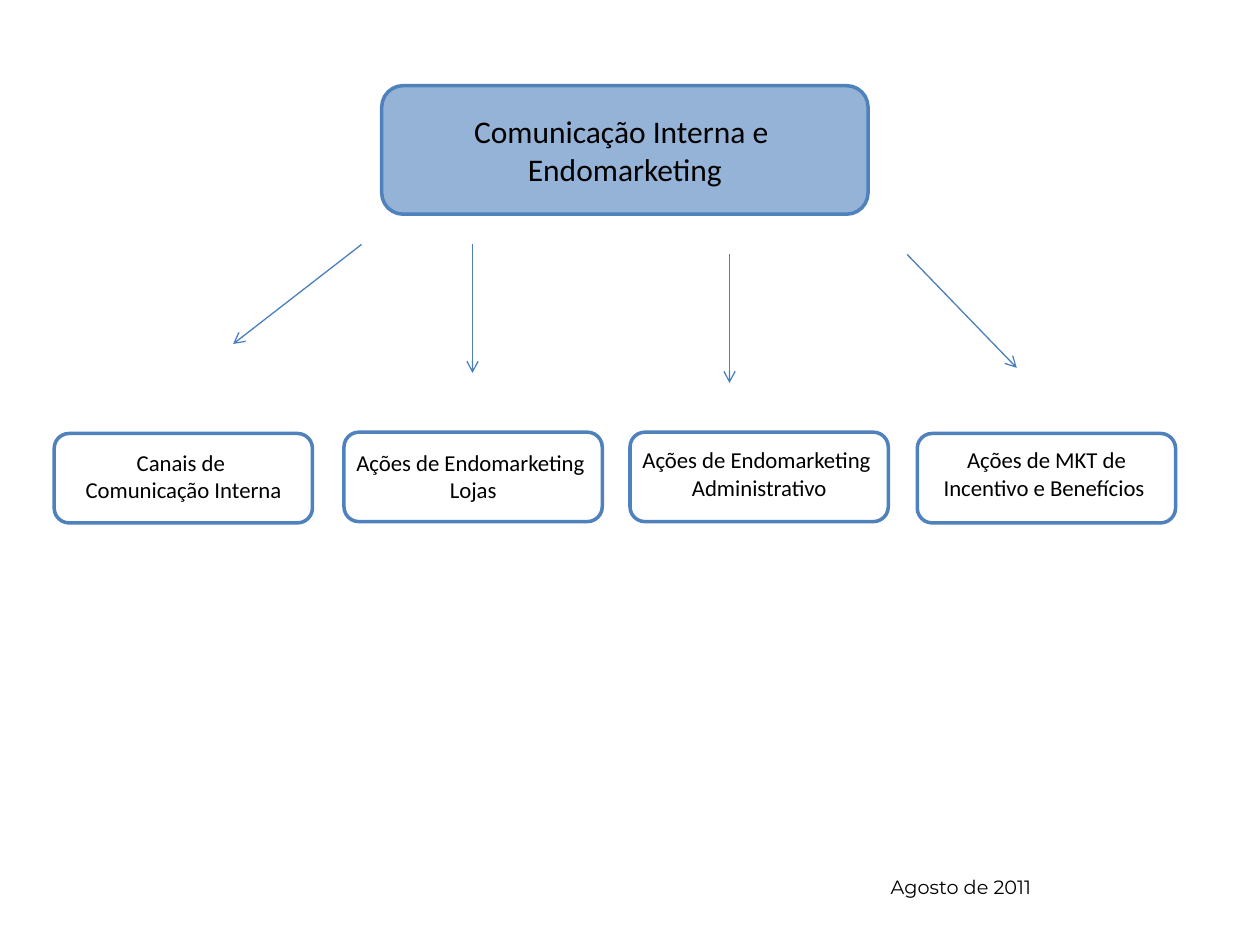
from dataclasses import dataclass

import pptx
import pptx.dml.color
import pptx.enum.shapes
import pptx.enum.text
import pptx.oxml
import pptx.oxml.ns
import pptx.util

Inches = pptx.util.Inches
Pt = pptx.util.Pt
RGBColor = pptx.dml.color.RGBColor
LEFT = pptx.enum.text.PP_ALIGN.LEFT
CENTER = pptx.enum.text.PP_ALIGN.CENTER

BLACK = RGBColor(0x00, 0x00, 0x00)
BORDER = RGBColor(0x4F, 0x81, 0xBD)
ARROW = RGBColor(0x4B, 0x7E, 0xBC)
HEADER = RGBColor(0x95, 0xB3, 0xD7)

BRANCH_WIDTH = 2.05
BRANCH_HEIGHT = 0.71
LABEL_HEIGHT = 0.54


@dataclass
class Branch:
    left: float
    top: float
    label_top: float
    lines: list[str]
    first_align: object = CENTER


@dataclass
class Arrow:
    x1: float
    y1: float
    x2: float
    y2: float


BRANCHES = [
    Branch(0.43, 3.44, 3.51, ["Canais de ", "Comunicação Interna"]),
    Branch(2.73, 3.43, 3.51, ["Ações de Endomarketing", "Lojas"], LEFT),
    Branch(5.0, 3.43, 3.49, ["Ações de Endomarketing", "Administrativo"], LEFT),
    Branch(7.28, 3.44, 3.49, ["Ações de MKT de Incentivo e Benefícios "]),
]

ARROWS = [
    Arrow(2.87, 1.94, 1.85, 2.73),
    Arrow(3.75, 1.94, 3.75, 2.96),
    Arrow(5.79, 2.02, 5.79, 3.04),
    Arrow(7.2, 2.02, 8.07, 2.92),
]


def write(tf, lines: list[str], *, size: float, font="Calibri",
          align=CENTER, first_align=None, wrap=True) -> None:
    tf.word_wrap = wrap
    for i, text in enumerate(lines):
        p = tf.add_paragraph() if i else tf.paragraphs[0]
        p.alignment = first_align if first_align and i == 0 else align
        r = p.add_run()
        r.text = text
        r.font.size = Pt(size)
        r.font.name = font
        r.font.color.rgb = BLACK


def add_box(s, left: float, top: float, width: float, height: float, fill=None):
    sp = s.shapes.add_shape(
        pptx.enum.shapes.MSO_SHAPE.FLOWCHART_ALTERNATE_PROCESS,
        Inches(left), Inches(top), Inches(width), Inches(height))
    sp.shadow.inherit = False
    if fill is None:
        sp.fill.background()
    else:
        sp.fill.solid()
        sp.fill.fore_color.rgb = fill
    sp.line.color.rgb = BORDER
    sp.line.width = Pt(2)
    return sp


def add_label(s, left: float, top: float, width: float, height: float,
              lines: list[str], **fmt) -> None:
    sp = s.shapes.add_textbox(Inches(left), Inches(top), Inches(width), Inches(height))
    write(sp.text_frame, lines, **fmt)


def add_branch(s, b: Branch) -> None:
    add_box(s, b.left, b.top, BRANCH_WIDTH, BRANCH_HEIGHT)
    add_label(s, b.left, b.label_top, BRANCH_WIDTH, LABEL_HEIGHT, b.lines,
              size=13, first_align=b.first_align)


def add_arrow(s, a: Arrow) -> None:
    sp = s.shapes.add_connector(
        pptx.enum.shapes.MSO_CONNECTOR.STRAIGHT,
        Inches(a.x1), Inches(a.y1), Inches(a.x2), Inches(a.y2))
    sp.line.color.rgb = ARROW
    sp.line.width = Pt(0.75)
    tail = pptx.oxml.parse_xml(
        f'<a:tailEnd {pptx.oxml.ns.nsdecls("a")} type="arrow"/>')
    sp.line._get_or_add_ln().append(tail)
    sp._element.spPr.append(
        pptx.oxml.parse_xml(f'<a:effectLst {pptx.oxml.ns.nsdecls("a")}/>'))


def main() -> None:
    prs = pptx.Presentation()
    prs.slide_width = Inches(10)
    prs.slide_height = Inches(7.5)
    s = prs.slides.add_slide(prs.slide_layouts[6])

    add_label(s, 6.97, 6.9, 1.52, 0.29, ["Agosto de 2011"],
              size=11, font="Montserrat", align=LEFT, wrap=False)
    header = add_box(s, 3.03, 0.68, 3.86, 1.02, HEADER)
    header.text_frame.vertical_anchor = pptx.enum.text.MSO_ANCHOR.MIDDLE
    write(header.text_frame, ["Comunicação Interna e ", "Endomarketing"], size=18)
    for b in BRANCHES:
        add_branch(s, b)
    for a in ARROWS:
        add_arrow(s, a)

    prs.save("out.pptx")


if __name__ == "__main__":
    main()
